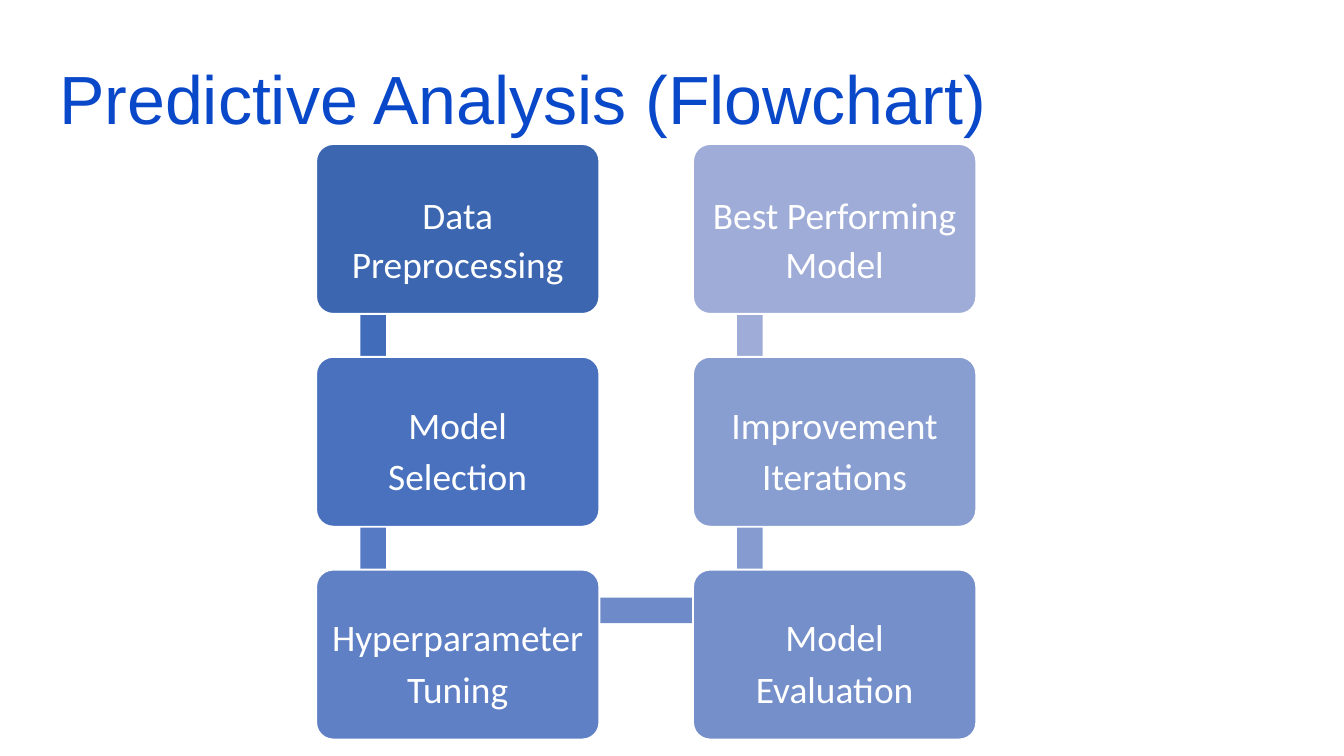
from pptx import Presentation
from pptx.dml.color import RGBColor
from pptx.enum.shapes import MSO_SHAPE
from pptx.enum.text import MSO_ANCHOR, MSO_AUTO_SIZE, PP_ALIGN
from pptx.util import Pt

RECT, ROUNDED = MSO_SHAPE.RECTANGLE, MSO_SHAPE.ROUNDED_RECTANGLE
LEFT, CENTER = PP_ALIGN.LEFT, PP_ALIGN.CENTER
TOP, MIDDLE = MSO_ANCHOR.TOP, MSO_ANCHOR.MIDDLE
NO_FIT = MSO_AUTO_SIZE.NONE

COLORS = {
    "title": "0A48CA", "white": "FFFFFF",
    "step1": "3C67B0", "step2": "4971BE", "step3": "5F80C5",
    "step4": "758FCA", "step5": "889ED1", "step6": "9EACD7",
    "bar1": "406CBA", "bar2": "567AC3", "bar3": "6E8AC8",
    "bar4": "869CD0", "bar5": "9EACD7",
}
STEPS = [
    (0, 0, ["Data Preprocessing"]),
    (0, 1, ["Model", "Selection"]),
    (0, 2, ["Hyperparameter", "Tuning"]),
    (1, 2, ["Model", "Evaluation"]),
    (1, 1, ["Improvement", "Iterations"]),
    (1, 0, ["Best Performing Model"]),
]
BOX_W, BOX_H = 151.7, 91
BAR = 13.7


def rgb(name):
    """Return the named colour."""
    return RGBColor.from_string(COLORS[name])


def add_run(p, text, font, size, color):
    """Add one formatted run to a paragraph."""
    r = p.add_run()
    r.text = text
    r.font.name = font
    r.font.size = Pt(size)
    r.font.color.rgb = rgb(color)


def add_title(s, x, y, w, h):
    """Place and format the slide title."""
    sp = s.shapes.title
    sp.left, sp.top, sp.width, sp.height = Pt(x), Pt(y), Pt(w), Pt(h)
    tf = sp.text_frame
    tf.auto_size = NO_FIT
    tf.vertical_anchor = TOP
    tf.margin_left = tf.margin_right = tf.margin_bottom = Pt(7.2)
    tf.margin_top = Pt(10.7)
    p = tf.paragraphs[0]
    p.alignment = LEFT
    add_run(p, "Predictive Analysis (Flowchart)", "Arial", 36.5, "title")


def add_block(s, kind, x, y, w, h, color):
    """Add a filled shape without shadow or outline."""
    sp = s.shapes.add_shape(kind, Pt(x), Pt(y), Pt(w), Pt(h))
    sp.shadow.inherit = False
    sp.fill.solid()
    sp.fill.fore_color.rgb = rgb(color)
    sp.line.fill.background()
    return sp


def add_step(s, x, y, lines, color):
    """Add a rounded step box with its label."""
    sp = add_block(s, ROUNDED, x, y, BOX_W, BOX_H, color)
    sp.adjustments[0] = 0.1
    sp.line.color.rgb = rgb("white")
    sp.line.width = Pt(1)
    tf = sp.text_frame
    tf.word_wrap = True
    tf.vertical_anchor = MIDDLE
    tf.margin_left = tf.margin_right = Pt(5)
    single = len(lines) == 1
    tf.margin_top, tf.margin_bottom = Pt(8.6 if single else 5.2), Pt(0)
    for i, line in enumerate(lines):
        p = tf.add_paragraph() if i else tf.paragraphs[0]
        p.alignment = CENTER
        p.line_spacing = 1.09 if single else 1.15
        add_run(p, line, "Calibri", 20, "white")


def add_flowchart(s, x, y, w, h):
    """Lay out the steps down the left column and up the right one."""
    pitch_x, pitch_y = w - BOX_W, (h - BOX_H) / 2
    for i, (col, row, lines) in enumerate(STEPS):
        left, top = x + col * pitch_x, y + row * pitch_y
        if i + 1 < len(STEPS):
            next_col, next_row, _ = STEPS[i + 1]
            if next_col != col:
                bar = (left + 30.2, top + 15, pitch_x, BAR)
            else:
                bar_top = y + min(row, next_row) * pitch_y + 23
                bar = (left + 23.6, bar_top, BAR, pitch_y - 1.8)
            add_block(s, RECT, *bar, f"bar{i + 1}")
        add_step(s, left, top, lines, f"step{i + 1}")


def main():
    """Build and save the slide."""
    prs = Presentation()
    prs.slide_width, prs.slide_height = Pt(720), Pt(405)
    s = prs.slides.add_slide(prs.slide_layouts[5])
    add_title(s, 24.5, 19.4, 671, 47.5)
    add_flowchart(s, 169.4, 77.2, 353.6, 319)
    prs.save("out.pptx")


if __name__ == "__main__":
    main()
